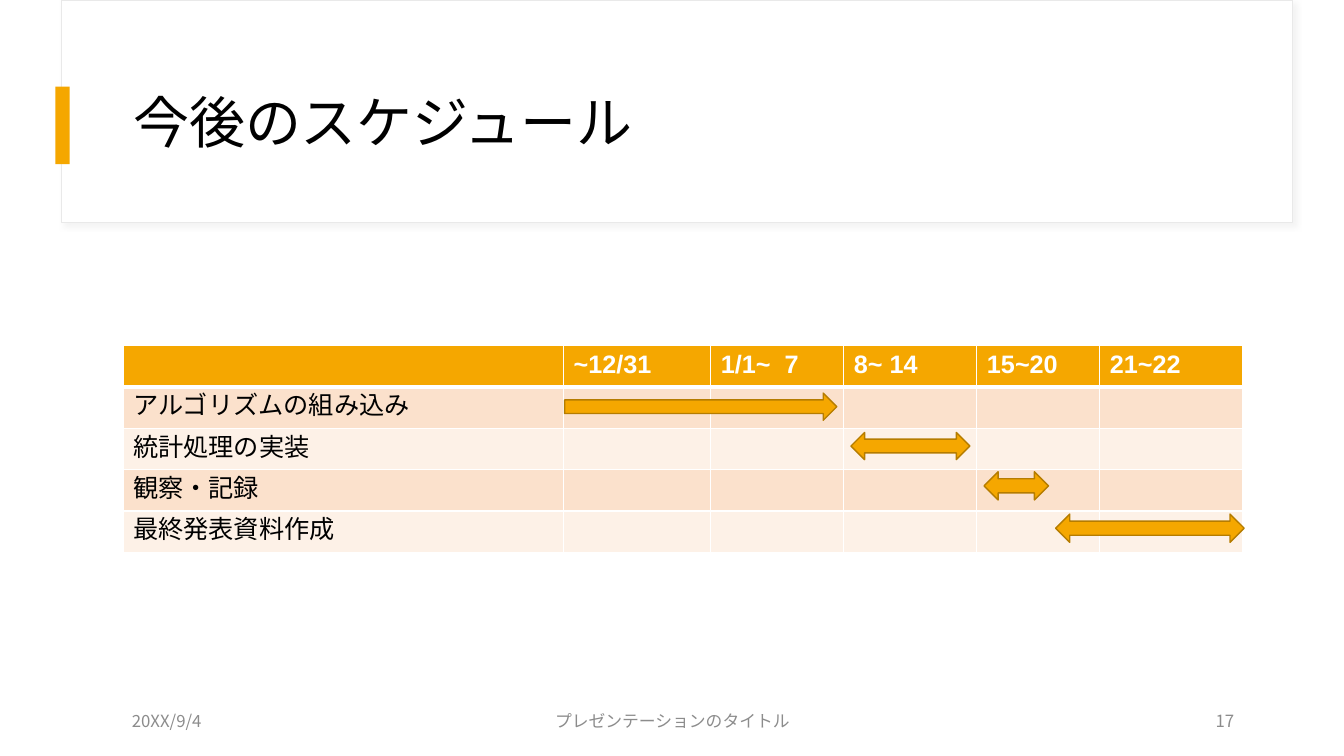
from lxml.etree import SubElement
from pptx import Presentation
from pptx.dml.color import RGBColor
from pptx.enum.shapes import MSO_SHAPE as Preset
from pptx.enum.text import MSO_ANCHOR as Anchor, PP_ALIGN as Align
from pptx.oxml.ns import qn
from pptx.util import Inches, Pt

COLORS = {
    "accent": "F5A700", "accent_dark": "B57C00", "white": "FFFFFF",
    "black": "000000", "gray": "8C8C8C", "frame": "E9E9E9",
    "shadow": "D9D9D9", "band_dark": "FBE1CC", "band_light": "FDF1E7",
}
SANS = "Noto Sans CJK JP"


def write(text_frame, text, font_name, size, color, bold=False, align=Align.LEFT):
    paragraph = text_frame.paragraphs[0]
    paragraph.alignment = align
    run = paragraph.add_run()
    run.text = text
    font_format = {"name": font_name, "size": Pt(size), "bold": bold}
    for attribute, value in font_format.items():
        setattr(run.font, attribute, value)
    run.font.color.rgb = RGBColor.from_string(COLORS[color])
    properties = run._r.get_or_add_rPr()
    properties.set("lang", "ja-JP")
    SubElement(properties, qn("a:ea"), typeface=font_name)
    return paragraph


def add_box(preset, box, fill, line=None, width=1):
    shape = slide.shapes.add_shape(preset, *map(Inches, box))
    shape.shadow.inherit = False
    shape.fill.solid()
    shape.fill.fore_color.rgb = RGBColor.from_string(COLORS[fill])
    if line:
        shape.line.color.rgb = RGBColor.from_string(COLORS[line])
        shape.line.width = Pt(width)
    else:
        shape.line.fill.background()
    return shape


presentation = Presentation()
presentation.slide_width = Inches(13.33)
presentation.slide_height = Inches(7.5)
slide = presentation.slides.add_slide(presentation.slide_layouts[5])

# Title banner with a soft shadow, and the accent bar
banner = add_box(Preset.RECTANGLE, (0.61, 0, 12.21, 2.21), "white", "frame", 0.75)
effects = banner._element.spPr.find(qn("a:effectLst"))
shadow = SubElement(effects, qn("a:outerShdw"), blurRad=str(Pt(4)),
                    dist=str(Pt(3)), dir="2700000", algn="tl", rotWithShape="0")
shadow_color = SubElement(shadow, qn("a:srgbClr"), val=COLORS["shadow"])
SubElement(shadow_color, qn("a:alpha"), val="30000")
add_box(Preset.RECTANGLE, (0.55, 0.86, 0.14, 0.77), "accent")

# Title, brought in front of the banner
title = slide.shapes.title
title_box = {"left": 1.22, "top": 0.6, "width": 11.12, "height": 1.29}
for attribute, value in title_box.items():
    setattr(title, attribute, Inches(value))
title.text_frame.vertical_anchor = Anchor.MIDDLE
write(title.text_frame, "今後のスケジュール", SANS, 40, "black").line_spacing = 0.9
slide.shapes._spTree.append(title._element)

# Schedule table
header = ["", "~12/31", "1/1~  7", "8~ 14", "15~20", "21~22"]
tasks = ["アルゴリズムの組み込み", "統計処理の実装", "観察・記録", "最終発表資料作成"]
column_widths = [4.37, 1.46, 1.32, 1.32, 1.22, 1.42]
row_height = 0.41
row_count = len(tasks) + 1
table = slide.shapes.add_table(
    row_count, len(header), Inches(1.22), Inches(3.43),
    Inches(sum(column_widths)), Inches(row_height * row_count)).table
for column, width in zip(table.columns, column_widths):
    column.width = Inches(width)

for row_index, row in enumerate(table.rows):
    row.height = Inches(row_height)
    is_header = row_index == 0
    texts = header if is_header else [tasks[row_index - 1]]
    fill = "accent" if is_header else ("band_light", "band_dark")[row_index % 2]
    for column_index, cell in enumerate(row.cells):
        properties = cell._tc.get_or_add_tcPr()
        for side in "LRTB":
            thick = (is_header and side == "B") or (row_index == 1 and side == "T")
            border = SubElement(properties, qn(f"a:ln{side}"), w=str(Pt(3 if thick else 1)))
            border_fill = SubElement(border, qn("a:solidFill"))
            SubElement(border_fill, qn("a:srgbClr"), val=COLORS["white"])
        cell.fill.solid()
        cell.fill.fore_color.rgb = RGBColor.from_string(COLORS[fill])
        if column_index < len(texts) and texts[column_index]:
            write(cell.text_frame, texts[column_index], "Arial", 18,
                  "white" if is_header else "black", bold=is_header)

# Footer: date, presentation title, slide number
footers = [
    (1.21, 3, "20XX/9/4", Align.LEFT),
    (4.42, 4.5, "プレゼンテーションのタイトル", Align.CENTER),
    (9.34, 3, "17", Align.RIGHT),
]
for left, width, text, align in footers:
    footer = slide.shapes.add_textbox(Inches(left), Inches(6.95), Inches(width), Inches(0.4))
    footer.text_frame.word_wrap = True
    footer.text_frame.vertical_anchor = Anchor.MIDDLE
    write(footer.text_frame, text, SANS, 12, "gray", align=align)

# Period arrows, one for each task
periods = [
    (Preset.RIGHT_ARROW, (5.6, 3.9, 2.7, 0.27)),
    (Preset.LEFT_RIGHT_ARROW, (8.44, 4.29, 1.18, 0.27)),
    (Preset.LEFT_RIGHT_ARROW, (9.76, 4.68, 0.64, 0.28)),
    (Preset.LEFT_RIGHT_ARROW, (10.47, 5.1, 1.87, 0.28)),
]
for preset, box in periods:
    add_box(preset, box, "accent", "accent_dark")

presentation.save("out.pptx")
